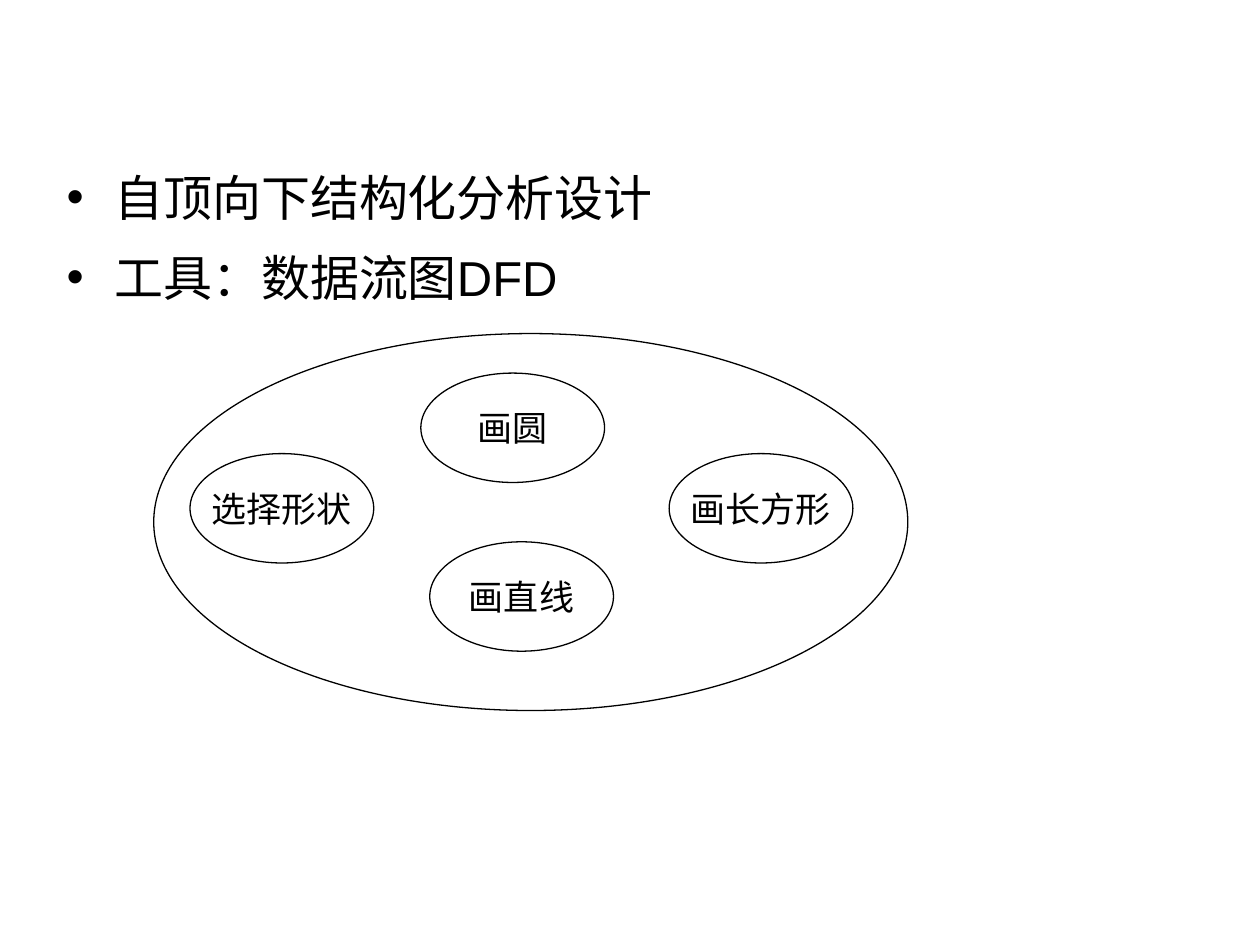
from lxml import etree
from pptx import Presentation
from pptx.dml.color import RGBColor
from pptx.enum import shapes, text
from pptx.oxml import ns
from pptx.util import Pt

BLACK = RGBColor(0, 0, 0)
WHITE = RGBColor(255, 255, 255)
LATIN, CJK = "Arial", "Noto Sans CJK SC"
INDENT = Pt(27.36)


class SlideBuilder:
    """Holds the style and the current slide."""

    line_width = Pt(0.75)
    bullet_paragraph = {"line_spacing": Pt(43)}
    label_frame = {"word_wrap": False, "vertical_anchor": text.MSO_ANCHOR.MIDDLE}

    def __init__(self, slide):
        self.slide = slide

    @staticmethod
    def apply(target, formats):
        for name, value in formats.items():
            setattr(target, name, value)

    def add_wording(self, paragraph, wording, size, font):
        run = paragraph.add_run()
        run.text = wording
        run.font.color.rgb = BLACK
        self.apply(run.font, {"size": Pt(size), "name": font})
        etree.SubElement(run._r.get_or_add_rPr(), ns.qn("a:ea"), typeface=CJK)

    def bullets(self, left, top, width, height, items):
        box = self.slide.shapes.add_textbox(Pt(left), Pt(top), Pt(width), Pt(height))
        frame = box.text_frame
        frame.word_wrap = True
        for index, item in enumerate(items):
            paragraph = frame.add_paragraph() if index else frame.paragraphs[0]
            self.apply(paragraph, self.bullet_paragraph)
            if index:
                paragraph.space_before = Pt(2.75)
            properties = paragraph._p.get_or_add_pPr()
            properties.set("marL", str(INDENT))
            properties.set("indent", str(-INDENT))
            etree.SubElement(properties, ns.qn("a:buFont"), typeface=LATIN)
            etree.SubElement(properties, ns.qn("a:buChar"), char="•")
            self.add_wording(paragraph, item, 28, LATIN)

    def ellipse(self, left, top, width, height, label=None):
        oval = self.slide.shapes.add_shape(
            shapes.MSO_SHAPE.OVAL, Pt(left), Pt(top), Pt(width), Pt(height))
        oval.shadow.inherit = False
        oval.fill.solid()
        oval.fill.fore_color.rgb = WHITE
        oval.line.color.rgb = BLACK
        oval.line.width = self.line_width
        if label:
            self.apply(oval.text_frame, self.label_frame)
            paragraph = oval.text_frame.paragraphs[0]
            paragraph.alignment = text.PP_ALIGN.CENTER
            self.add_wording(paragraph, label, 20, CJK)


def main():
    deck = Presentation()
    deck.slide_width, deck.slide_height = Pt(720), Pt(540)
    builder = SlideBuilder(deck.slides.add_slide(deck.slide_layouts[6]))

    # System boundary
    builder.ellipse(87.84, 190.6, 430.9, 215.4)

    # Method and tool
    builder.bullets(30.96, 82.8, 652.3, 415.4,
                    ["自顶向下结构化分析设计", "工具：数据流图DFD"])

    # Functions inside the boundary
    functions = [("选择形状", 108.6, 259.2), ("画圆", 240.5, 213.2),
                 ("画直线", 245.6, 309.6), ("画长方形", 382.4, 259.2)]
    for label, left, top in functions:
        builder.ellipse(left, top, 105, 62.5, label)

    deck.save("out.pptx")


if __name__ == "__main__":
    main()
